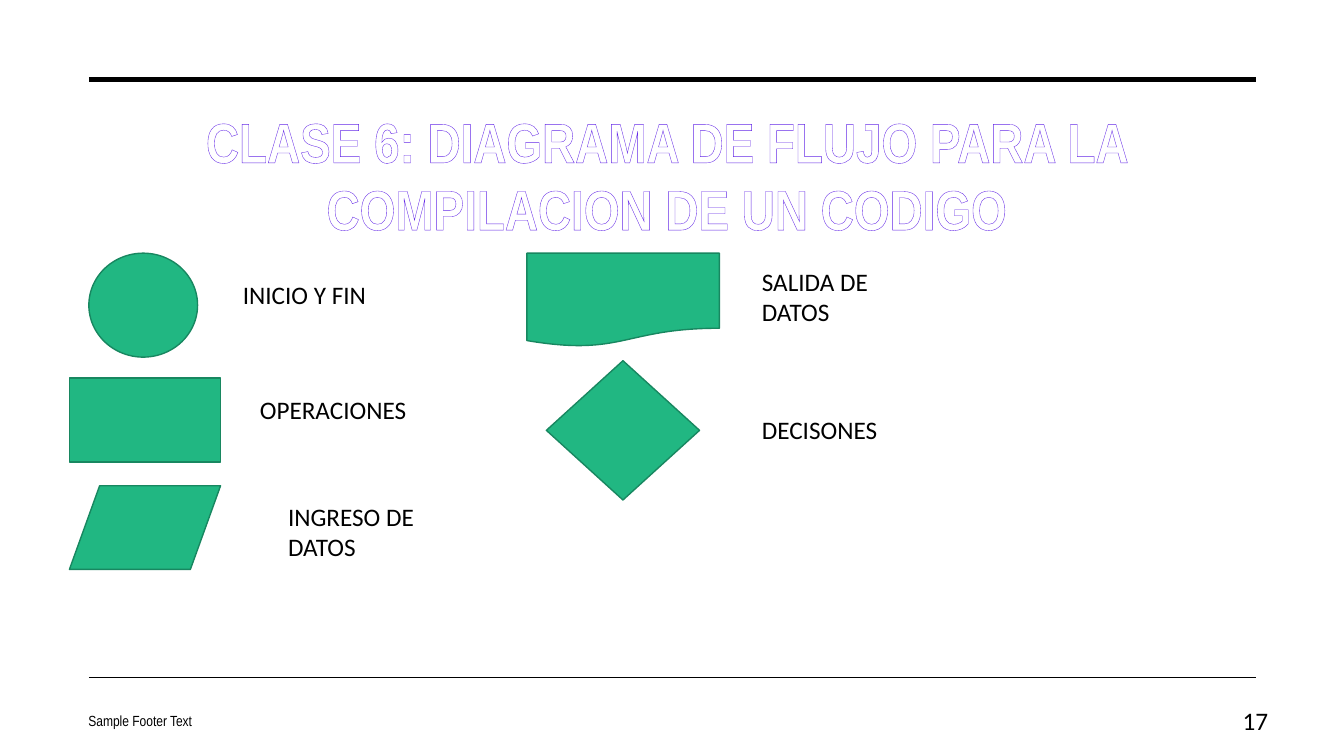
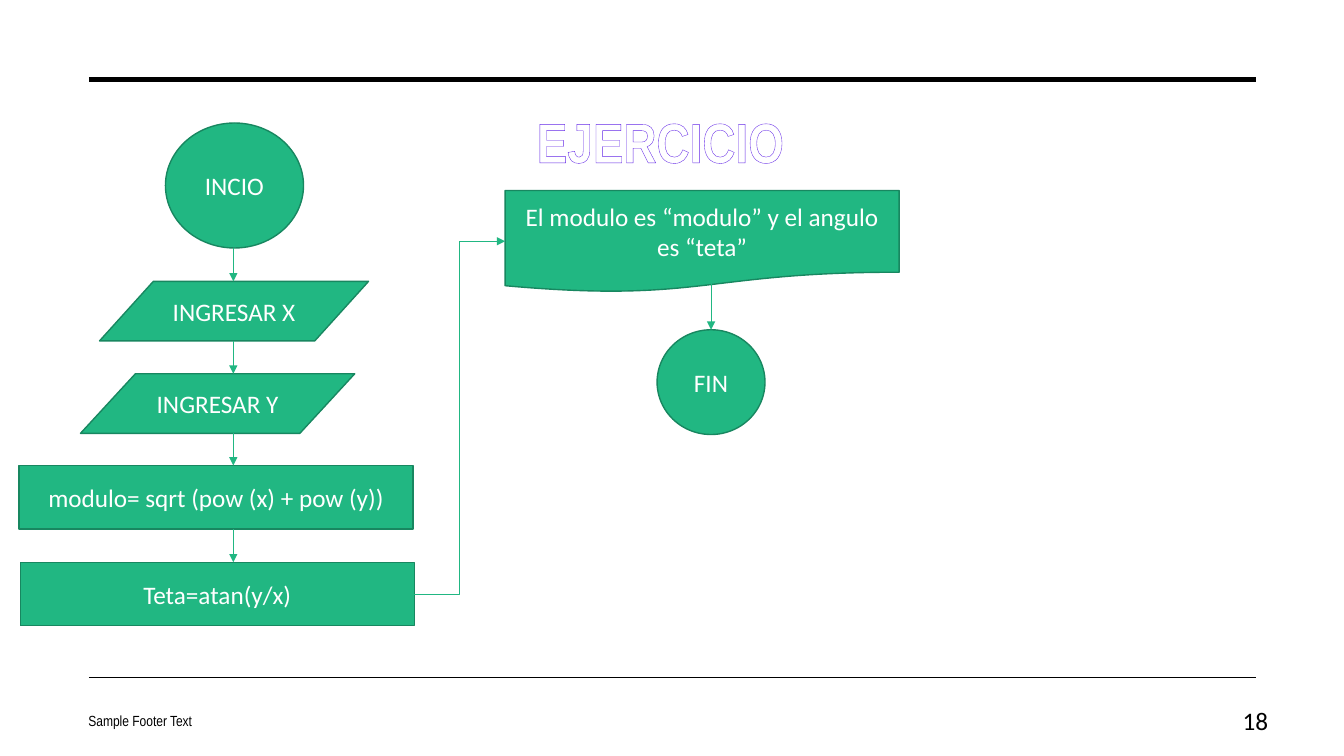
"""Build two slides on flowchart symbols and a worked flowchart exercise."""
import lxml.etree
import pptx
import pptx.dml.color
import pptx.enum.dml
import pptx.enum.shapes
import pptx.enum.text
import pptx.oxml.ns
import pptx.util

Cm = pptx.util.Cm
Pt = pptx.util.Pt
qn = pptx.oxml.ns.qn
color = pptx.dml.color.RGBColor.from_string
Shape = pptx.enum.shapes.MSO_SHAPE
Connector = pptx.enum.shapes.MSO_CONNECTOR
Align = pptx.enum.text.PP_ALIGN
Anchor = pptx.enum.text.MSO_ANCHOR

BLACK = "000000"
WHITE = "FFFFFF"
GREEN = "21B782"
DARK_GREEN = "188760"
LILAC = "A37FF1"
VIOLET = "6529E7"
BODY_FONT = "Calibri"
TITLE_FONT = "Arial Narrow"


def write_text(shape, text, align=Align.LEFT, anchor=Anchor.TOP,
               size=18, name=BODY_FONT, ink=BLACK):
    frame = shape.text_frame
    frame.word_wrap = True
    frame.vertical_anchor = anchor
    paragraph = frame.paragraphs[0]
    paragraph.alignment = align
    run = paragraph.add_run()
    run.text = text
    run.font.size = Pt(size)
    run.font.name = name
    run.font.color.rgb = color(ink)
    return run


def add_line(slide, kind, start, end, ink, width, arrow=False):
    line = slide.shapes.add_connector(kind, *map(Cm, start + end))
    line.line.color.rgb = color(ink)
    line.line.width = Pt(width)
    properties = line._element.spPr
    if arrow:
        outline = properties.find(qn("a:ln"))
        lxml.etree.SubElement(outline, qn("a:tailEnd"), type="triangle")
    lxml.etree.SubElement(properties, qn("a:effectLst"))


column_x = 5.88
column = [
    (Shape.FLOWCHART_CONNECTOR, 4.17, 3.1, 3.48, 3.15, "INCIO"),
    (Shape.FLOWCHART_DATA, 2.51, 7.09, 6.78, 1.5, "INGRESAR X"),
    (Shape.FLOWCHART_DATA, 2.03, 9.42, 6.91, 1.5, "INGRESAR Y"),
    (Shape.FLOWCHART_PROCESS, 0.48, 11.73, 9.93, 1.6, "modulo= sqrt (pow (x) + pow (y))"),
    (Shape.FLOWCHART_PROCESS, 0.51, 14.17, 9.93, 1.6, "Teta=atan(y/x)"),
]
arrows = [
    (Connector.STRAIGHT, (column_x, upper[2] + upper[4]), (column_x, lower[2]))
    for upper, lower in zip(column, column[1:])
]

pages = [
    {
        "title": "CLASE 6: DIAGRAMA DE FLUJO PARA LA COMPILACION DE UN CODIGO",
        "number": "17",
        "symbols": [
            (Shape.OVAL, 2.24, 6.38, 2.74, 2.62, ""),
            (Shape.RECTANGLE, 1.75, 9.53, 3.81, 2.11, ""),
            (Shape.FLOWCHART_DATA, 1.75, 12.24, 3.81, 2.11, ""),
            (Shape.FLOWCHART_DOCUMENT, 13.28, 6.38, 4.85, 2.36, ""),
            (Shape.FLOWCHART_DECISION, 13.77, 9.09, 3.86, 3.51, ""),
        ],
        "labels": [
            (5.87, 6.91, 4.85, 1.02, "INICIO Y FIN"),
            (6.3, 9.8, 5.33, 1.02, "OPERACIONES"),
            (7.01, 12.5, 4.85, 1.8, "INGRESO DE DATOS"),
            (18.95, 6.58, 4.85, 1.8, "SALIDA DE DATOS"),
            (18.95, 10.31, 4.85, 1.02, "DECISONES"),
        ],
        "arrows": [],
    },
    {
        "title": "EJERCICIO ",
        "number": "18",
        "symbols": column + [
            (Shape.FLOWCHART_DOCUMENT, 12.73, 4.8, 9.93, 2.57,
             "El modulo es “modulo” y el angulo es “teta”"),
            (Shape.FLOWCHART_CONNECTOR, 16.56, 8.31, 2.72, 2.64, "FIN"),
        ],
        "labels": [],
        "arrows": arrows + [
            (Connector.ELBOW, (10.44, 14.97), (12.73, 6.08)),
            (Connector.STRAIGHT, (17.92, 7.09), (17.92, 8.31)),
        ],
    },
]

presentation = pptx.Presentation()
presentation.slide_width = Cm(33.87)
presentation.slide_height = Cm(19.05)

for page in pages:
    slide = presentation.slides.add_slide(presentation.slide_layouts[6])
    for y, width in ((2, 3.5), (17.07, 1)):
        add_line(slide, Connector.STRAIGHT, (2.24, y), (31.65, y), BLACK, width)

    title = slide.shapes.add_textbox(Cm(1.96), Cm(2.57), Cm(29.69), Cm(3.81))
    run = write_text(title, page["title"], Align.CENTER, size=40, name=TITLE_FONT)
    run.font.bold = True
    run.font.fill.patterned()
    run.font.fill.pattern = pptx.enum.dml.MSO_PATTERN.LIGHT_DOWNWARD_DIAGONAL
    run.font.fill.fore_color.rgb = color(LILAC)
    run.font.fill.back_color.rgb = color(WHITE)
    outline = lxml.etree.Element(qn("a:ln"), w=str(Pt(1)))
    solid = lxml.etree.SubElement(outline, qn("a:solidFill"))
    lxml.etree.SubElement(solid, qn("a:srgbClr"), val=VIOLET)
    run.font._element.insert(0, outline)

    footer = slide.shapes.add_textbox(Cm(1.98), Cm(17.65), Cm(12.6), Cm(1.02))
    write_text(footer, "Sample Footer Text", anchor=Anchor.MIDDLE, size=10.5, name=TITLE_FONT)
    number = slide.shapes.add_textbox(Cm(30.33), Cm(17.65), Cm(1.88), Cm(1.02))
    write_text(number, page["number"], Align.RIGHT, Anchor.MIDDLE)

    for kind, *box, text in page["symbols"]:
        symbol = slide.shapes.add_shape(kind, *map(Cm, box))
        symbol.shadow.inherit = False
        symbol.fill.solid()
        symbol.fill.fore_color.rgb = color(GREEN)
        symbol.line.color.rgb = color(DARK_GREEN)
        symbol.line.width = Pt(1)
        if text:
            write_text(symbol, text, Align.CENTER, Anchor.MIDDLE, ink=WHITE)

    for *box, text in page["labels"]:
        write_text(slide.shapes.add_textbox(*map(Cm, box)), text)

    for kind, start, end in page["arrows"]:
        add_line(slide, kind, start, end, GREEN, 0.5, arrow=True)

presentation.save("out.pptx")
